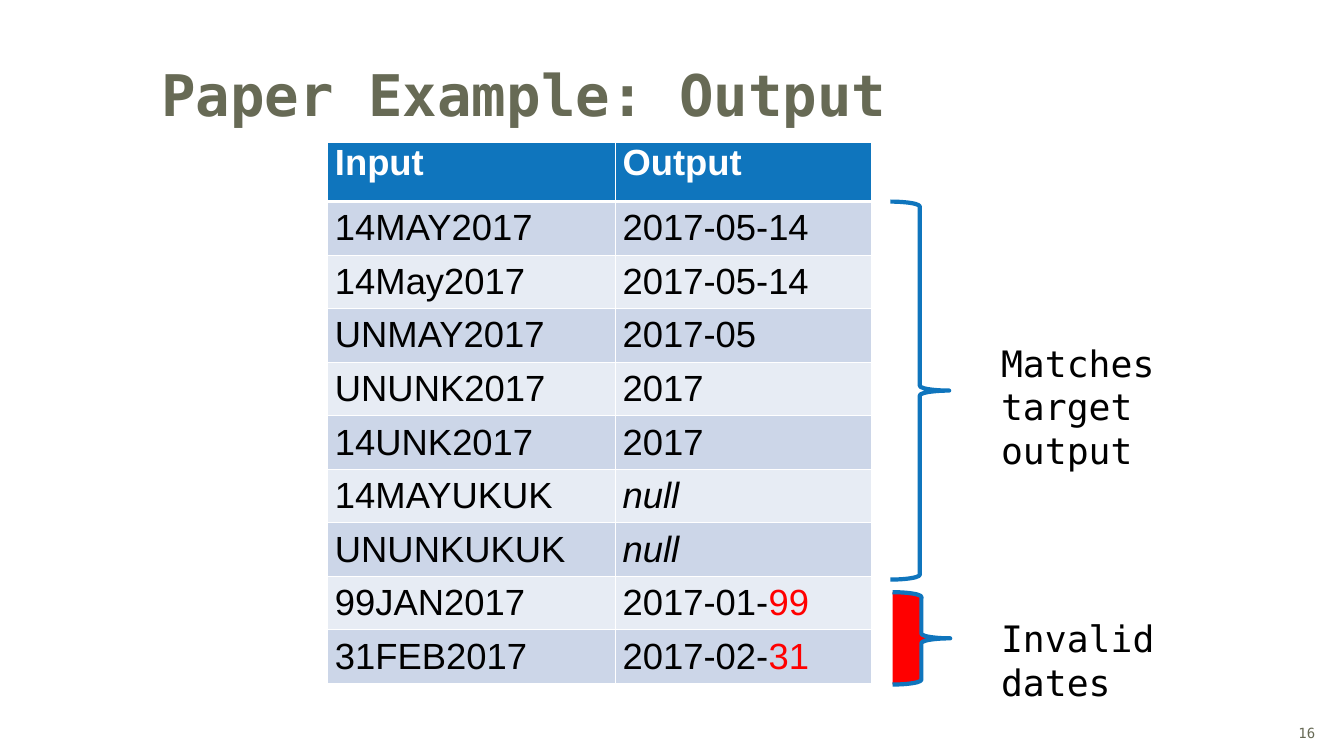
from dataclasses import dataclass

from lxml import etree
from pptx import Presentation
from pptx.dml.color import RGBColor
from pptx.enum import shapes, text
from pptx.oxml import ns
from pptx.util import Pt

PX = 9525  # EMU per px, 96 px to the inch


@dataclass(frozen=True)
class Theme:
    heading: str = "676A55"
    accent: str = "0F75BD"
    ink: str = "000000"
    alert: str = "FF0000"
    white: str = "FFFFFF"
    bands: tuple = ("CCD6E8", "E7ECF4")
    mono: str = "DejaVu Sans Mono"
    sans: str = "Arial"
    title_size: int = 41
    body_size: int = 26
    number_size: int = 10


THEME = Theme()

# Each row: input, valid part of the output, invalid part of the output
DATES = [
    ("14MAY2017", "2017-05-14", ""),
    ("14May2017", "2017-05-14", ""),
    ("UNMAY2017", "2017-05", ""),
    ("UNUNK2017", "2017", ""),
    ("14UNK2017", "2017", ""),
    ("14MAYUKUK", "null", ""),
    ("UNUNKUKUK", "null", ""),
    ("99JAN2017", "2017-01-", "99"),
    ("31FEB2017", "2017-02-", "31"),
]


def px(*lengths):
    return [n * PX for n in lengths]


def rgb(color):
    return RGBColor.from_string(color)


def add_run(p, words, size, font, color, bold=False, italic=False):
    r = p.add_run()
    r.text = words
    r.font.size, r.font.name = Pt(size), font
    r.font.bold, r.font.italic = bold, italic
    r.font.color.rgb = rgb(color)


def add_label(s, box, words, size, color, bold=False,
              anchor=text.MSO_ANCHOR.TOP, align=text.PP_ALIGN.LEFT):
    tf = s.shapes.add_textbox(*px(*box)).text_frame
    tf.word_wrap = True
    tf.vertical_anchor = anchor
    p = tf.paragraphs[0]
    p.alignment = align
    add_run(p, words, size, THEME.mono, color, bold)


def add_brace(s, box, fill=None):
    sp = s.shapes.add_shape(shapes.MSO_SHAPE.RIGHT_BRACE, *px(*box))
    sp.shadow.inherit = False
    if fill:
        sp.fill.solid()
        sp.fill.fore_color.rgb = rgb(fill)
    else:
        sp.fill.background()
    sp.line.color.rgb = rgb(THEME.accent)
    sp.line.width = Pt(3)


def set_borders(cell, bottom=1):
    """Draw white cell borders; they must come before the fill in tcPr."""
    tc_pr = cell._tc.get_or_add_tcPr()
    widths = {"L": 1, "R": 1, "T": 1, "B": bottom}
    for i, (side, width) in enumerate(widths.items()):
        ln = etree.Element(ns.qn(f"a:ln{side}"), w=str(Pt(width)))
        solid = etree.SubElement(ln, ns.qn("a:solidFill"))
        etree.SubElement(solid, ns.qn("a:srgbClr"), val=THEME.white)
        tc_pr.insert(i, ln)


def fill_cell(cell, fill, runs, anchor, bottom=1):
    """Style a cell and add its runs, given as (words, color, bold, italic)."""
    cell.fill.solid()
    cell.fill.fore_color.rgb = rgb(fill)
    set_borders(cell, bottom)
    cell.margin_left = cell.margin_right = 7 * PX
    cell.margin_top = cell.margin_bottom = 0
    cell.vertical_anchor = anchor
    p = cell.text_frame.paragraphs[0]
    p.space_before, p.space_after = Pt(1), Pt(2)
    for words, color, bold, italic in runs:
        add_run(p, words, THEME.body_size, THEME.sans, color, bold, italic)


def add_date_table(s, left, top, col_widths, header_height, row_height):
    heights = [header_height] + [row_height] * len(DATES)
    table = s.shapes.add_table(
        len(heights), len(col_widths),
        *px(left, top, sum(col_widths), sum(heights))).table
    for col, width in zip(table.columns, col_widths):
        col.width = width * PX
    for row, height in zip(table.rows, heights):
        row.height = height * PX

    for c, heading in enumerate(("Input", "Output")):
        fill_cell(table.cell(0, c), THEME.accent,
                  [(heading, THEME.white, True, False)],
                  text.MSO_ANCHOR.TOP, bottom=3)
    for i, (source, valid, invalid) in enumerate(DATES):
        output = [(valid, THEME.ink, False, valid == "null")]
        if invalid:
            output.append((invalid, THEME.alert, False, False))
        for c, runs in enumerate(
                ([(source, THEME.ink, False, False)], output)):
            fill_cell(table.cell(i + 1, c), THEME.bands[i % 2], runs,
                      text.MSO_ANCHOR.MIDDLE)


def main():
    prs = Presentation()
    prs.slide_width, prs.slide_height = px(1280, 720)
    s = prs.slides.add_slide(prs.slide_layouts[6])

    add_label(s, (144, 29, 952, 120), "Paper Example: Output",
              THEME.title_size, THEME.heading, bold=True,
              anchor=text.MSO_ANCHOR.MIDDLE)
    add_label(s, (1211, 673, 51, 38), "16", THEME.number_size, THEME.heading,
              anchor=text.MSO_ANCHOR.BOTTOM, align=text.PP_ALIGN.RIGHT)
    add_date_table(s, 312, 136, (274, 244), 56, 51)

    add_brace(s, (848, 192, 56, 360))
    add_label(s, (944, 320, 240, 135), "Matches target output",
              THEME.body_size, THEME.ink)
    add_brace(s, (850, 564, 55, 88), THEME.alert)
    add_label(s, (944, 582, 240, 52), "Invalid dates",
              THEME.body_size, THEME.ink)

    prs.save("out.pptx")


if __name__ == "__main__":
    main()
